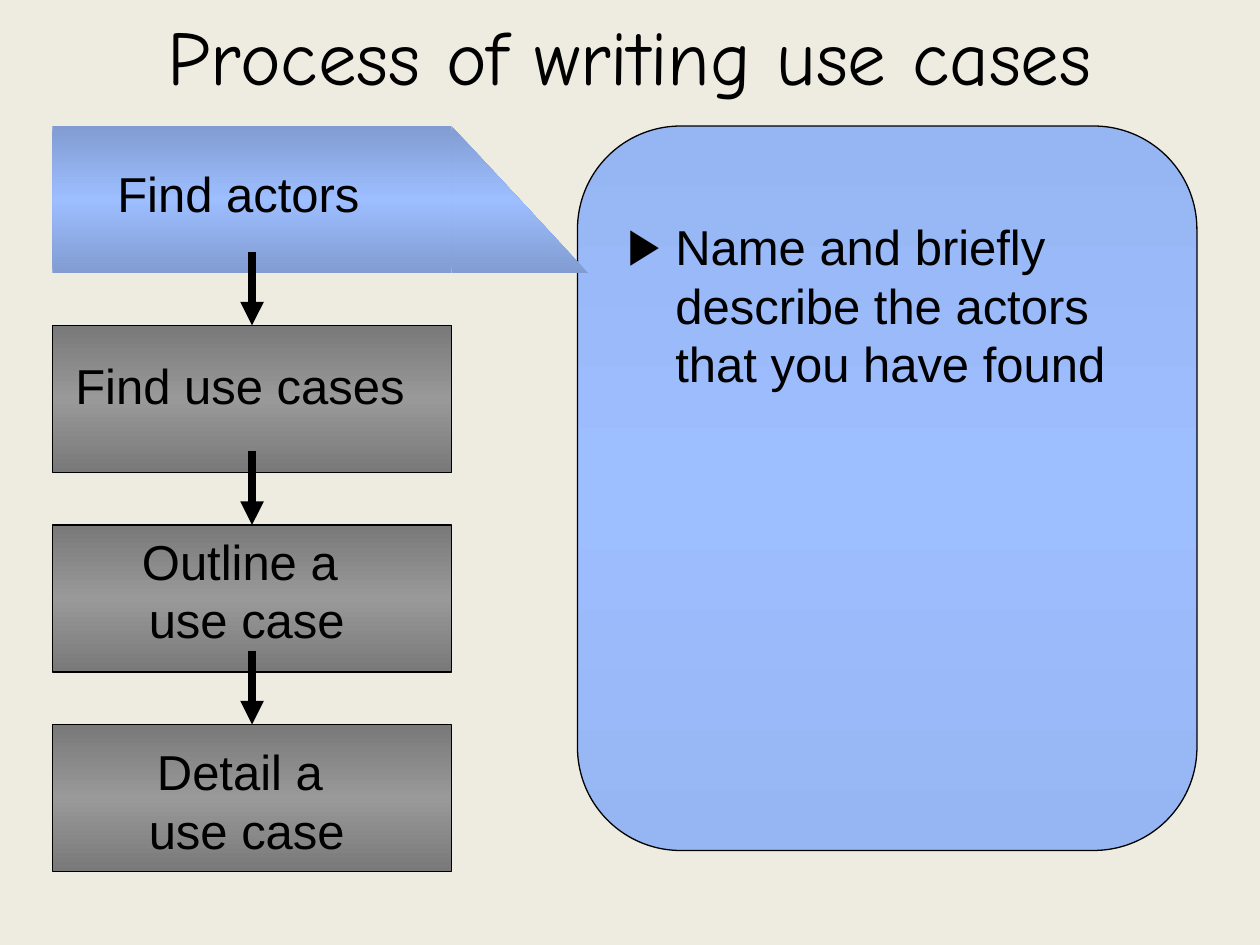
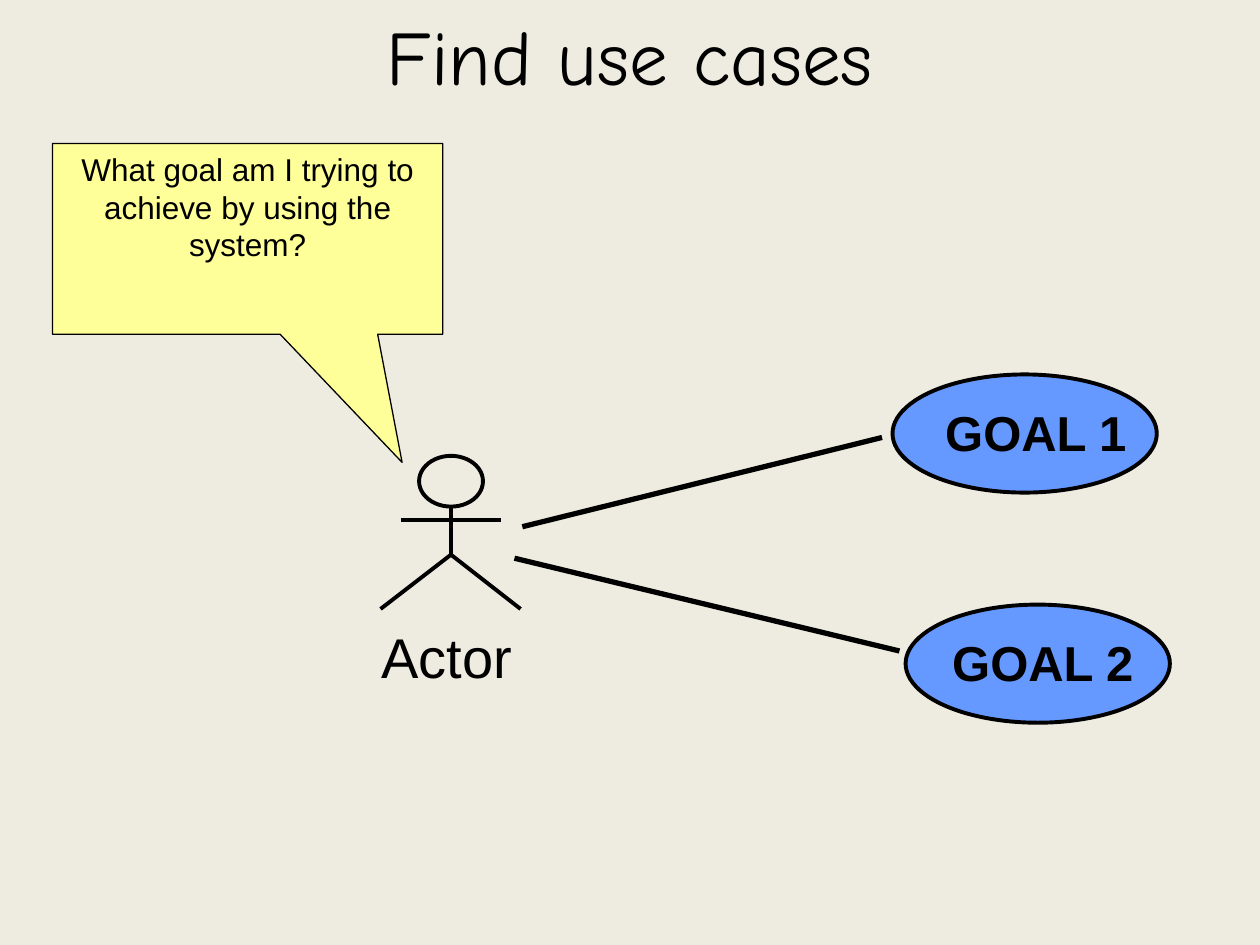
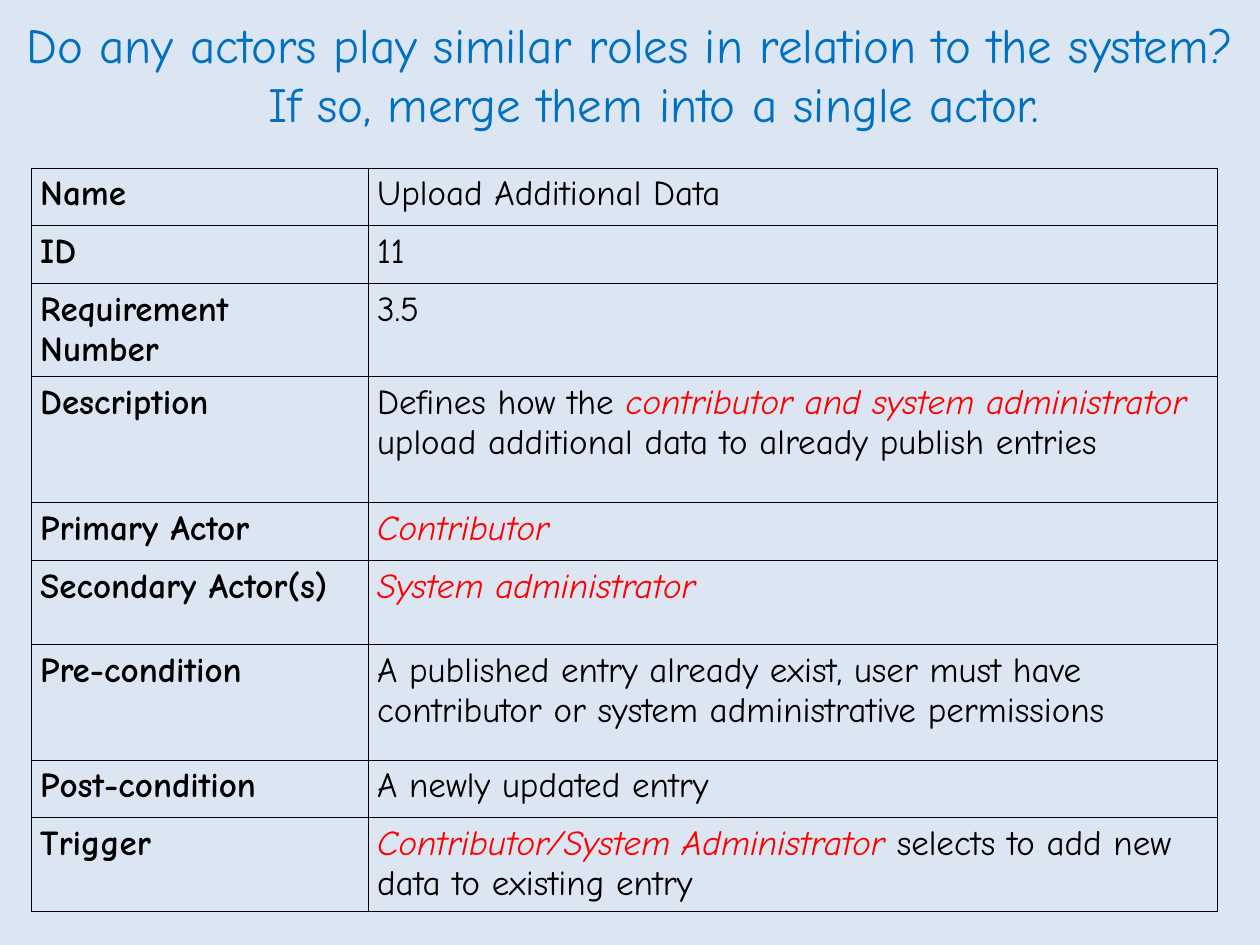
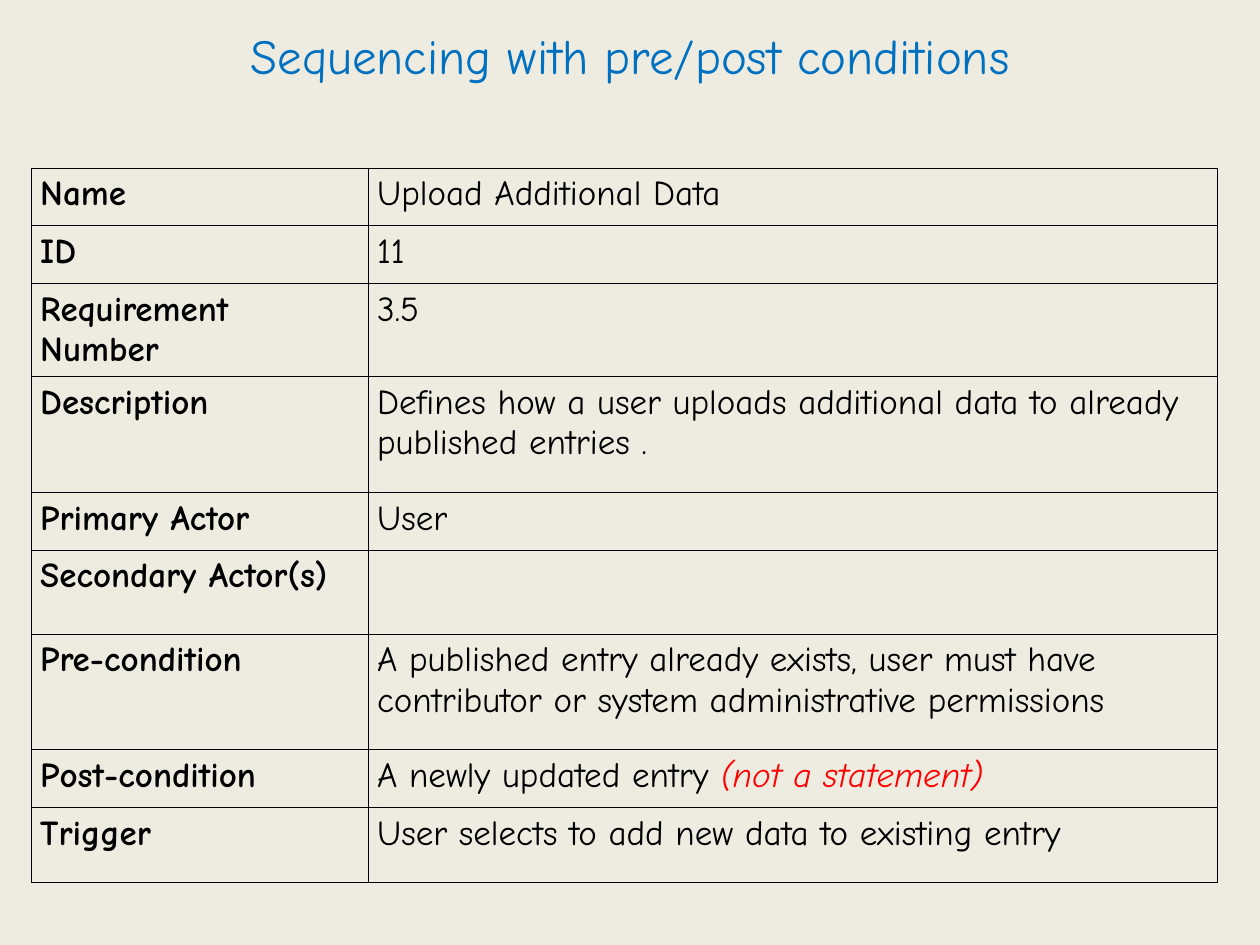
from dataclasses import dataclass

from lxml.etree import SubElement
from pptx import Presentation
from pptx.dml.color import RGBColor
from pptx.enum.shapes import MSO_CONNECTOR as Link, MSO_SHAPE as Preset
from pptx.enum.text import MSO_ANCHOR as Anchor, MSO_AUTO_SIZE as AutoSize, PP_ALIGN as Align
from pptx.oxml.ns import qn
from pptx.util import Pt


@dataclass(frozen=True)
class Theme:
    cream: str = "EEECE1"
    pale_blue: str = "DCE6F2"
    black: str = "000000"
    red: str = "FF0000"
    title_blue: str = "0070C0"
    goal_blue: str = "6699FF"
    note_yellow: str = "FFFF99"
    active: tuple = ("819CD2", "9DBEFF", "819CD2")
    idle: tuple = ("797979", "999999", "797979")
    panel: tuple = ("96B5F3", "9DBEFF", "96B5F3")
    hand: str = "Comic Neue"
    plain: str = "Arial"
    title_size: float = 44
    question_size: float = 28
    label_size: float = 28
    actor_size: float = 32
    table_size: float = 20
    note_size: float = 18
    thin: float = 0.75
    outline: float = 2.25
    relation: float = 3
    arrow: float = 4.5
    grid: float = 0.45


THEME = Theme()

PROCESS_TITLE = "Process of writing use cases"
STEPS = [
    ("Find actors", (60, 90, 186, 41), Align.LEFT),
    ("Find use cases", (36, 199.5, 222, 41), Align.LEFT),
    ("Outline a \nuse case", (48, 300, 186, 75), Align.CENTER),
    ("Detail a \nuse case", (48, 420, 186, 75), Align.CENTER),
]
STEP_LEFT, STEP_TOP, STEP_WIDTH, STEP_HEIGHT, STEP_PITCH = 30, 72, 228, 84, 114
ARROW_OVERLAP = 12
POINTER_WIDTH = 78
PANEL_BOX = (330, 72, 354, 414)
ADVICE = "Name and briefly describe the actors that you have found"
ADVICE_BOX = (342, 120, 330, 159)

GOALS_TITLE = "Find use cases"
QUESTION = "What goal am I trying to achieve by using the system?"
QUESTION_BOX = (30, 82, 223, 109)
QUESTION_TIP = (0.396, 1.172)
ACTOR = "Actor"
ACTOR_BOX = (211, 352, 89, 46)
HEAD_BOX = (239.5, 260.5, 36.5, 29)
SPINE = ((257.75, 289.5), (257.75, 317))
ARMS = ((229, 297.25), (286.5, 297.25))
LEGS = ((217.5, 348), (257.75, 317), (297.5, 348))
GOALS = [
    ("GOAL 1", (510, 214), (531.5, 225.5), ((298.5, 301), (504, 250))),
    ("GOAL 2", (517.5, 345.5), (535.5, 357), ((294, 319), (514, 372))),
]
GOAL_SIZE, GOAL_LABEL_SIZE = (151, 67.5), (121, 42.5)

MERGE_TITLE = ("Do any actors play similar roles in relation to the system? "
               "If so, merge them into a single actor.")
SEQUENCE_TITLE = "Sequencing with pre/post conditions"
FIELDS = ["Name", "ID", "Requirement Number", "Description", "Primary Actor",
          "Secondary Actor(s)", "Pre-condition", "Post-condition", "Trigger"]
EMPHASIS = "|"
MERGED_CASE = [
    "Upload Additional Data",
    "11",
    "3.5",
    "Defines how the |contributor and system administrator| upload additional data "
    "to already publish entries",
    "|Contributor|",
    "|System administrator|",
    "A published entry already exist, user must have contributor or system "
    "administrative permissions",
    "A newly updated entry",
    "|Contributor/System Administrator |selects to add new data to existing entry",
]
SEQUENCED_CASE = [
    "Upload Additional Data",
    "11",
    "3.5",
    "Defines how a user uploads additional data to already published entries .",
    "User",
    "",
    "A published entry already exists, user must have contributor or system "
    "administrative permissions",
    "A newly updated entry |(not a statement)|",
    "User selects to add new data to existing entry",
]
MERGED_HEIGHTS = [33, 33, 48, 72, 33, 48, 66, 33, 48]
SEQUENCED_HEIGHTS = [33, 33, 48, 66, 33, 48, 66, 33, 43]
COLUMN_WIDTHS = (192.5, 485.25)
TABLE_LEFT, TABLE_TOP = 18, 96
TITLE_HEIGHT, TALL_TITLE_HEIGHT = 62.5, 84
TITLE_HANG = 27


def rgb(color):
    return RGBColor.from_string(color)


def pts(values):
    return [Pt(value) for value in values]


def place(shape, box):
    shape.left, shape.top, shape.width, shape.height = pts(box)


def style(paragraph, size, face=THEME.plain, color=THEME.black, bold=False, align=Align.LEFT):
    paragraph.alignment = align
    font = paragraph.font
    font.size, font.name, font.bold = Pt(size), face, bold
    font.color.rgb = rgb(color)


def indent(paragraph, left, first):
    properties = paragraph._p.get_or_add_pPr()
    properties.set("marL", str(Pt(left)))
    properties.set("indent", str(Pt(first)))
    return properties


def set_margins(frame, across, top, bottom):
    frame.margin_left = frame.margin_right = Pt(across)
    frame.margin_top, frame.margin_bottom = Pt(top), Pt(bottom)


def add_slide(deck, layout, title, height=TITLE_HEIGHT, size=THEME.title_size,
              color=THEME.black, hang=0):
    slide = deck.slides.add_slide(deck.slide_layouts.get_by_name(layout))
    heading = slide.shapes.title
    place(heading, (0, 0, 720, height))
    frame = heading.text_frame
    frame.text = title
    frame.auto_size = AutoSize.NONE
    frame.vertical_anchor = Anchor.MIDDLE
    paragraph = frame.paragraphs[0]
    indent(paragraph, hang, -hang)
    style(paragraph, size, THEME.hand, color, align=Align.CENTER)
    return slide


def add_label(slide, text, box, size, align=Align.LEFT, bold=False, wrap=True, margins=(7.2, 3.6)):
    frame = slide.shapes.add_textbox(*pts(box)).text_frame
    frame.word_wrap = wrap
    across, down = margins
    set_margins(frame, across, down, down)
    paragraph = frame.paragraphs[0]
    paragraph.text = text
    style(paragraph, size, align=align, bold=bold)


def paint(shape, fill, weight):
    shape.shadow.inherit = False
    if fill is None:
        shape.fill.background()
    elif isinstance(fill, tuple):
        shape.fill.gradient()
        shape.fill.gradient_angle = 90
        stops = shape._element.spPr.find(qn("a:gradFill")).find(qn("a:gsLst"))
        for stop in list(stops):
            stops.remove(stop)
        for position, color in zip((0, 50000, 100000), fill):
            stop = SubElement(stops, qn("a:gs"), pos=str(position))
            SubElement(stop, qn("a:srgbClr"), val=color)
    else:
        shape.fill.solid()
        shape.fill.fore_color.rgb = rgb(fill)
    if weight:
        shape.line.color.rgb = rgb(THEME.black)
        shape.line.width = Pt(weight)
    else:
        shape.line.fill.background()


def add_preset(shapes, preset, box, fill=None, weight=None):
    shape = shapes.add_shape(preset, *pts(box))
    paint(shape, fill, weight)
    return shape


def add_line(shapes, ends, weight):
    start, end = ends
    line = shapes.add_connector(Link.STRAIGHT, *pts(start + end))
    line.line.color.rgb = rgb(THEME.black)
    line.line.width = Pt(weight)
    SubElement(line._element.spPr, qn("a:effectLst"))
    return line


def add_advice(slide):
    body = slide.placeholders[1]
    slide.shapes._spTree.append(body._element)
    place(body, ADVICE_BOX)
    frame = body.text_frame
    frame.text = ADVICE
    frame.auto_size = AutoSize.NONE
    paragraph = frame.paragraphs[0]
    paragraph.space_before = Pt(0)
    properties = indent(paragraph, 36.75, -27.25)
    bullet_color = SubElement(properties, qn("a:buClr"))
    SubElement(bullet_color, qn("a:srgbClr"), val=THEME.black)
    SubElement(properties, qn("a:buFont"), typeface=THEME.plain)
    SubElement(properties, qn("a:buChar"), char="▶")
    style(paragraph, THEME.label_size)


def build_process(deck):
    slide = add_slide(deck, "Title and Content", PROCESS_TITLE)
    shapes = slide.shapes
    add_preset(shapes, Preset.ROUNDED_RECTANGLE, PANEL_BOX, THEME.panel, THEME.thin)
    add_advice(slide)
    steps = []
    for row, (text, label_box, align) in enumerate(STEPS):
        fill, weight = (THEME.idle, THEME.thin) if row else (THEME.active, None)
        box = (STEP_LEFT, STEP_TOP + row * STEP_PITCH, STEP_WIDTH, STEP_HEIGHT)
        steps.append(add_preset(shapes, Preset.RECTANGLE, box, fill, weight))
        add_label(slide, text, label_box, THEME.label_size, align)
    center = STEP_LEFT + STEP_WIDTH / 2
    for row, step in enumerate(steps[1:], 1):
        top = STEP_TOP + row * STEP_PITCH
        start = top - STEP_PITCH + STEP_HEIGHT - ARROW_OVERLAP
        arrow = add_line(shapes, ((center, start), (center, top)), THEME.arrow)
        arrow.end_connect(step, 0)
        SubElement(arrow.line._get_or_add_ln(), qn("a:tailEnd"), type="triangle")
    pointer_box = (STEP_LEFT + STEP_WIDTH, STEP_TOP, POINTER_WIDTH, STEP_HEIGHT)
    pointer = add_preset(shapes, Preset.ISOSCELES_TRIANGLE, pointer_box, THEME.active)
    pointer.adjustments[0] = 0


def add_actor(slide):
    figure = slide.shapes.add_group_shape().shapes
    add_preset(figure, Preset.OVAL, HEAD_BOX, weight=THEME.outline)
    for limb in (SPINE, ARMS):
        add_line(figure, limb, THEME.outline)
    hip, *rest = [tuple(pts(point)) for point in LEGS]
    builder = figure.build_freeform(*hip)
    builder.add_line_segments(rest, close=False)
    paint(builder.convert_to_shape(), None, THEME.outline)
    add_label(slide, ACTOR, ACTOR_BOX, THEME.actor_size, Align.CENTER, wrap=False)


def build_goals(deck):
    slide = add_slide(deck, "Title Only", GOALS_TITLE)
    add_actor(slide)
    for text, corner, label_corner, relation in GOALS:
        add_preset(slide.shapes, Preset.OVAL, corner + GOAL_SIZE, THEME.goal_blue, THEME.outline)
        add_label(slide, text, label_corner + GOAL_LABEL_SIZE, THEME.label_size,
                  bold=True, wrap=False, margins=(8.64, 4.32))
        add_line(slide.shapes, relation, THEME.relation)
    question = add_preset(slide.shapes, Preset.RECTANGULAR_CALLOUT, QUESTION_BOX,
                          THEME.note_yellow, THEME.thin)
    for index, value in enumerate(QUESTION_TIP):
        question.adjustments[index] = value
    frame = question.text_frame
    frame.text = QUESTION
    frame.word_wrap = True
    frame.vertical_anchor = Anchor.TOP
    set_margins(frame, 7.2, 3.6, 10.8)
    style(frame.paragraphs[0], THEME.note_size, align=Align.CENTER)


def fill_cell(cell, text, bold):
    set_margins(cell, 5, 3.6, 3.6)
    cell.fill.background()
    properties = cell._tc.get_or_add_tcPr()
    for position, side in enumerate(("lnL", "lnR", "lnT", "lnB")):
        border = SubElement(properties, qn("a:" + side), w=str(Pt(THEME.grid)))
        SubElement(SubElement(border, qn("a:solidFill")), qn("a:srgbClr"), val=THEME.black)
        properties.insert(position, border)
    paragraph = cell.text_frame.paragraphs[0]
    style(paragraph, THEME.table_size, THEME.hand, bold=bold)
    for index, part in enumerate(text.split(EMPHASIS)):
        if part:
            run = paragraph.add_run()
            run.text = part
            if index % 2:
                run.font.italic = True
                run.font.color.rgb = rgb(THEME.red)


def build_case(deck, title, title_height, values, heights):
    slide = add_slide(deck, "Title Only", title, title_height, THEME.question_size,
                      THEME.title_blue, TITLE_HANG)
    box = (TABLE_LEFT, TABLE_TOP, sum(COLUMN_WIDTHS), sum(heights))
    table = slide.shapes.add_table(len(FIELDS), len(COLUMN_WIDTHS), *pts(box)).table
    table.first_row = table.horz_banding = False
    for column, width in zip(table.columns, COLUMN_WIDTHS):
        column.width = Pt(width)
    for row, field, value, height in zip(table.rows, FIELDS, values, heights):
        row.height = Pt(height)
        fill_cell(row.cells[0], field, True)
        fill_cell(row.cells[1], value, False)
    return slide


def set_background(page, color):
    page.background.fill.solid()
    page.background.fill.fore_color.rgb = rgb(color)


def main():
    deck = Presentation()
    deck.slide_width, deck.slide_height = Pt(720), Pt(540)
    set_background(deck.slide_master, THEME.cream)
    build_process(deck)
    build_goals(deck)
    merged = build_case(deck, MERGE_TITLE, TALL_TITLE_HEIGHT, MERGED_CASE, MERGED_HEIGHTS)
    set_background(merged, THEME.pale_blue)
    build_case(deck, SEQUENCE_TITLE, TITLE_HEIGHT, SEQUENCED_CASE, SEQUENCED_HEIGHTS)
    deck.save("out.pptx")


if __name__ == "__main__":
    main()
